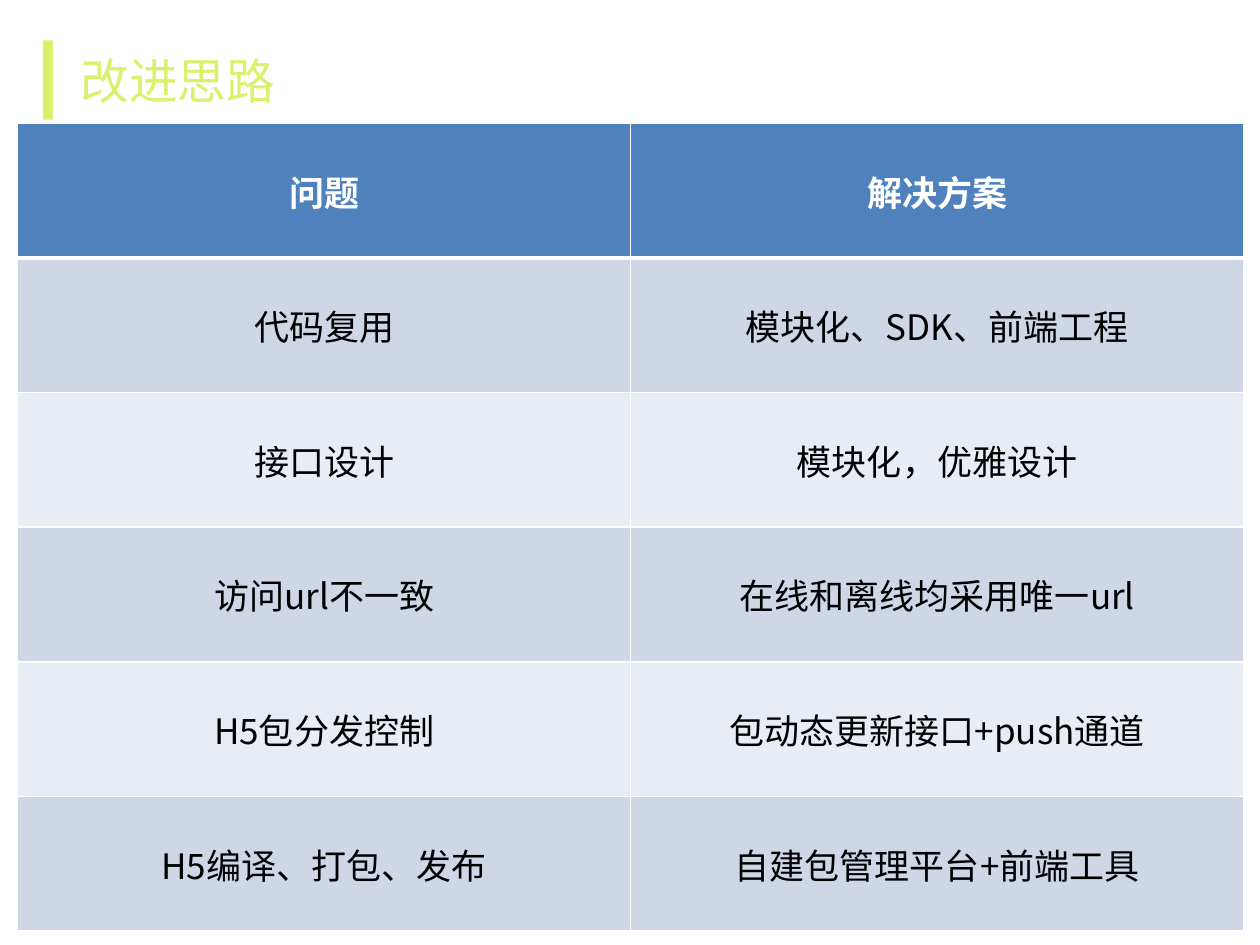
from dataclasses import dataclass

from lxml import etree
from pptx import Presentation
from pptx import util as u
from pptx.dml.color import RGBColor
from pptx.enum import shapes, text
from pptx.oxml import ns


@dataclass(frozen=True)
class Theme:
    font: str = "Noto Sans CJK SC"
    accent: str = "DDF06E"
    header: str = "4F81BD"
    bands: tuple = ("CFD7E7", "E8ECF4")
    light: str = "FFFFFF"
    dark: str = "000000"
    title_size: float = 27.8
    table_size: float = 20
    rule: float = 1
    header_rule: float = 3


@dataclass(frozen=True)
class Box:
    left: float
    top: float
    width: float
    height: float

    def lengths(self):
        return [u.Inches(side) for side in (self.left, self.top, self.width, self.height)]


THEME = Theme()

ROWS = [
    ("问题", "解决方案"),
    ("代码复用", "模块化、SDK、前端工程"),
    ("接口设计", "模块化，优雅设计"),
    ("访问url不一致", "在线和离线均采用唯一url"),
    ("H5包分发控制", "包动态更新接口+push通道"),
    ("H5编译、打包、发布", "自建包管理平台+前端工具"),
]


def paint(fill, color):
    fill.solid()
    fill.fore_color.rgb = RGBColor.from_string(color)


def write(frame, words, *, size, color, bold=False, align=text.PP_ALIGN.LEFT):
    para = frame.paragraphs[0]
    para.alignment = align
    span = para.add_run()
    span.text = words
    span.font.name = THEME.font
    span.font.size = u.Pt(size)
    span.font.bold = bold
    span.font.color.rgb = RGBColor.from_string(color)
    east_asian = etree.SubElement(span.font._element, ns.qn("a:ea"))
    east_asian.set("typeface", THEME.font)


def add_borders(cell, widths):
    properties = cell._tc.get_or_add_tcPr()
    for side, width in zip("LRTB", widths):
        line = etree.SubElement(properties, ns.qn(f"a:ln{side}"), w=str(u.Pt(width)))
        fill = etree.SubElement(line, ns.qn("a:solidFill"))
        etree.SubElement(fill, ns.qn("a:srgbClr"), val=THEME.light)


def add_heading(page, box, words):
    bar_width, gap = 0.08, 0.17
    bar = page.shapes.add_shape(
        shapes.MSO_SHAPE.RECTANGLE,
        *Box(box.left, box.top, bar_width, box.height).lengths(),
    )
    bar.shadow.inherit = False
    paint(bar.fill, THEME.accent)
    bar.line.fill.background()

    title = page.shapes.title
    indent = bar_width + gap
    title.left, title.top, title.width, title.height = Box(
        box.left + indent, box.top, box.width - indent, box.height
    ).lengths()
    frame = title.text_frame
    frame.word_wrap = True
    frame.auto_size = text.MSO_AUTO_SIZE.NONE
    frame.vertical_anchor = text.MSO_ANCHOR.MIDDLE
    frame.margin_left = frame.margin_right = u.Inches(0.05)
    frame.margin_top = frame.margin_bottom = u.Inches(0.05)
    write(frame, words, size=THEME.title_size, color=THEME.accent)


def add_solutions(page, box, rows):
    table = page.shapes.add_table(len(rows), len(rows[0]), *box.lengths()).table
    for column in table.columns:
        column.width = u.Inches(box.width / len(rows[0]))
    for number, row in enumerate(rows):
        table.rows[number].height = u.Inches(box.height / len(rows))
        is_header = number == 0
        top = THEME.header_rule if number == 1 else THEME.rule
        bottom = THEME.header_rule if is_header else THEME.rule
        for cell, words in zip(table.rows[number].cells, row):
            add_borders(cell, (THEME.rule, THEME.rule, top, bottom))
            paint(cell.fill, THEME.header if is_header else THEME.bands[(number - 1) % 2])
            cell.vertical_anchor = text.MSO_ANCHOR.MIDDLE
            cell.margin_left = cell.margin_right = 0
            cell.margin_top = cell.margin_bottom = 0
            write(
                cell.text_frame,
                words,
                size=THEME.table_size,
                color=THEME.light if is_header else THEME.dark,
                bold=is_header,
                align=text.PP_ALIGN.CENTER,
            )


def main():
    deck = Presentation()
    deck.slide_width, deck.slide_height = u.Inches(10), u.Inches(7.5)
    page = deck.slides.add_slide(deck.slide_layouts.get_by_name("Title Only"))
    paint(page.background.fill, THEME.light)
    add_heading(page, Box(0.34, 0.32, 7.44, 0.63), "改进思路")
    add_solutions(page, Box(0.14, 0.98, 9.73, 6.41), ROWS)
    deck.save("out.pptx")


if __name__ == "__main__":
    main()
